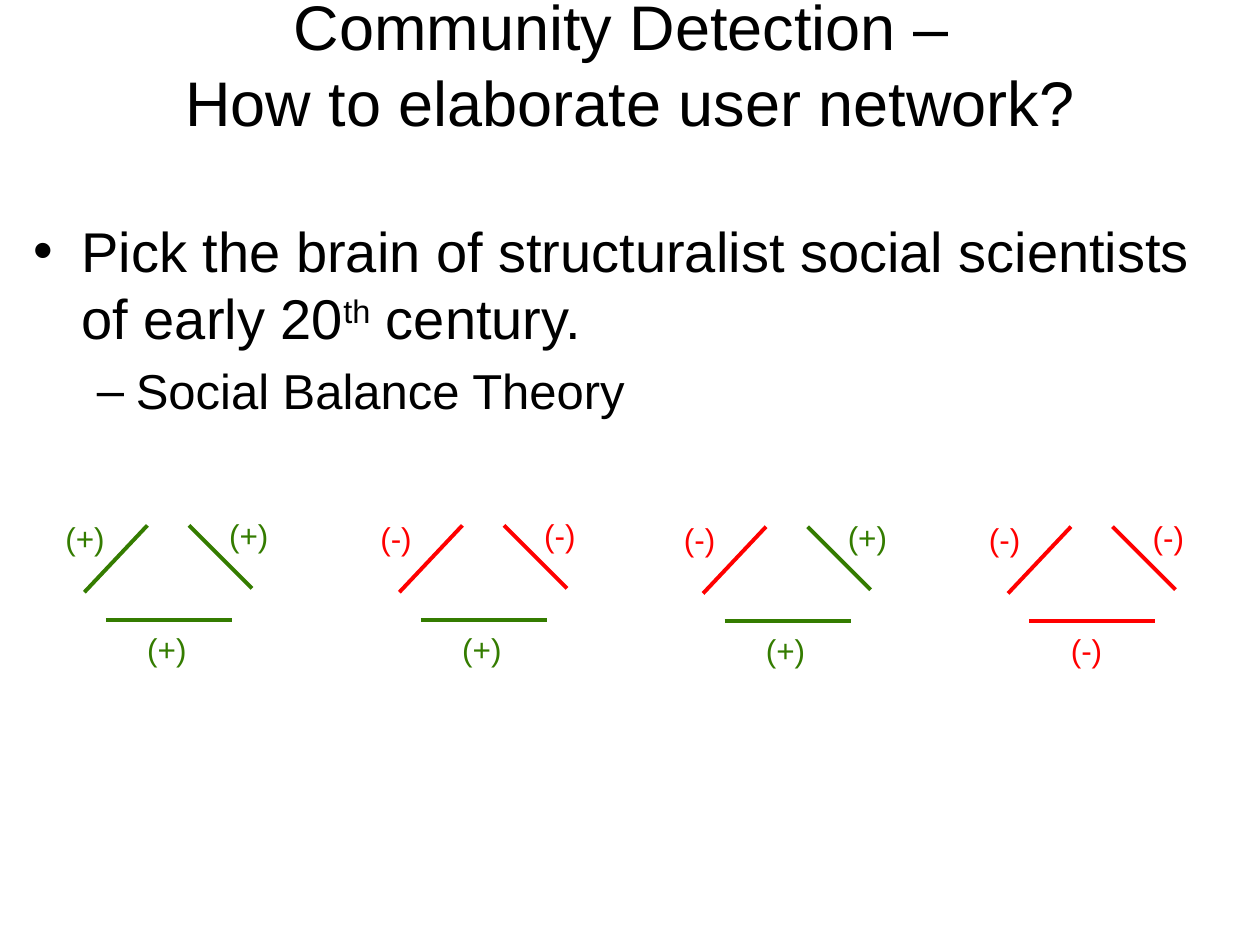
import pptx
import pptx.dml.color
import pptx.enum.shapes
import pptx.enum.text
import pptx.util
from lxml import etree
from pptx.util import Inches

COLORS = {"text": "000000", "+": "347C00", "-": "FF0000"}
FONT = "Arial"
TRIANGLES = [(0.67, 4.17, "+++"), (3.17, 4.17, "--+"),
             (5.58, 4.18, "-++"), (8, 4.18, "---")]
EDGES = [((0, 0.53), (0.5, 0), (-0.25, -0.1)),
         ((1.33, 0.5), (0.83, 0), (1.05, -0.12)),
         ((0.17, 0.75), (1.17, 0.75), (0.4, 0.78))]
LABEL_WIDTHS = {"+": 0.52, "-": 0.45}


def rgb(name):
    """Return the named colour."""
    return pptx.dml.color.RGBColor.from_string(COLORS[name])


def format_runs(paragraph, size, color):
    """Set the font of every run in a paragraph."""
    for run in paragraph.runs:
        run.font.name = FONT
        run.font.size = pptx.util.Pt(size)
        run.font.color.rgb = rgb(color)


def place(shape, left, top, width, height):
    """Move and size a shape, in inches."""
    shape.left, shape.top = Inches(left), Inches(top)
    shape.width, shape.height = Inches(width), Inches(height)


def add_title(slide, text):
    """Fill and place the title placeholder."""
    title = slide.shapes.title
    place(title, 0, 0, 10, 1)
    frame = title.text_frame
    frame.text = text
    frame.auto_size = pptx.enum.text.MSO_AUTO_SIZE.NONE
    frame.vertical_anchor = pptx.enum.text.MSO_ANCHOR.MIDDLE
    paragraph = frame.paragraphs[0]
    paragraph.alignment = pptx.enum.text.PP_ALIGN.CENTER
    format_runs(paragraph, 36, "text")


def set_bullet(paragraph, character, margin, hanging):
    """Give a paragraph a bullet and a hanging indent."""
    properties = paragraph._p.get_or_add_pPr()
    properties.set("marL", str(Inches(margin)))
    properties.set("indent", str(-Inches(hanging)))
    namespace = pptx.oxml.ns.qn
    etree.SubElement(properties, namespace("a:buFont"), typeface=FONT)
    etree.SubElement(properties, namespace("a:buChar"), char=character)


def add_body(slide):
    """Add the bulleted text."""
    box = slide.shapes.add_textbox(
        Inches(0.17), Inches(1.67), Inches(9.67), Inches(4.75))
    frame = box.text_frame
    frame.word_wrap = True
    point = frame.paragraphs[0]
    set_bullet(point, "•", 0.38, 0.38)
    for text in ("Pick the brain of structuralist social scientists of early 20",
                 "th", " century."):
        point.add_run().text = text
    format_runs(point, 32, "text")
    point.runs[1].font._element.set("baseline", "30000")
    subpoint = frame.add_paragraph()
    subpoint.text = "Social Balance Theory"
    subpoint.level = 1
    set_bullet(subpoint, "–", 0.81, 0.31)
    subpoint.space_before = pptx.util.Pt(5.6)
    format_runs(subpoint, 28, "text")


def add_edge(slide, start, end, sign):
    """Add one side of a triangle."""
    line = slide.shapes.add_connector(
        pptx.enum.shapes.MSO_CONNECTOR.STRAIGHT,
        *(Inches(value) for value in start + end))
    line.line.color.rgb = rgb(sign)
    line.line.width = pptx.util.Pt(2.25)
    etree.SubElement(line._element.spPr, pptx.oxml.ns.qn("a:effectLst"))


def add_label(slide, position, sign):
    """Add the sign of a side."""
    left, top = position
    box = slide.shapes.add_textbox(
        Inches(left), Inches(top), Inches(LABEL_WIDTHS[sign]), Inches(0.4))
    frame = box.text_frame
    frame.word_wrap = False
    frame.auto_size = pptx.enum.text.MSO_AUTO_SIZE.SHAPE_TO_FIT_TEXT
    frame.text = f"({sign})"
    format_runs(frame.paragraphs[0], 18, sign)


def add_triangle(slide, left, top, signs):
    """Add three signed sides around an origin."""
    for sign, edge in zip(signs, EDGES):
        start, end, label = ((left + x, top + y) for x, y in edge)
        add_edge(slide, start, end, sign)
        add_label(slide, label, sign)


def main():
    """Build and save the slide."""
    presentation = pptx.Presentation()
    presentation.slide_width = Inches(10)
    presentation.slide_height = Inches(7.5)
    slide = presentation.slides.add_slide(presentation.slide_layouts[5])
    add_title(slide, "Community Detection – \vHow to elaborate user network?")
    add_body(slide)
    for left, top, signs in TRIANGLES:
        add_triangle(slide, left, top, signs)
    presentation.save("out.pptx")


if __name__ == "__main__":
    main()
